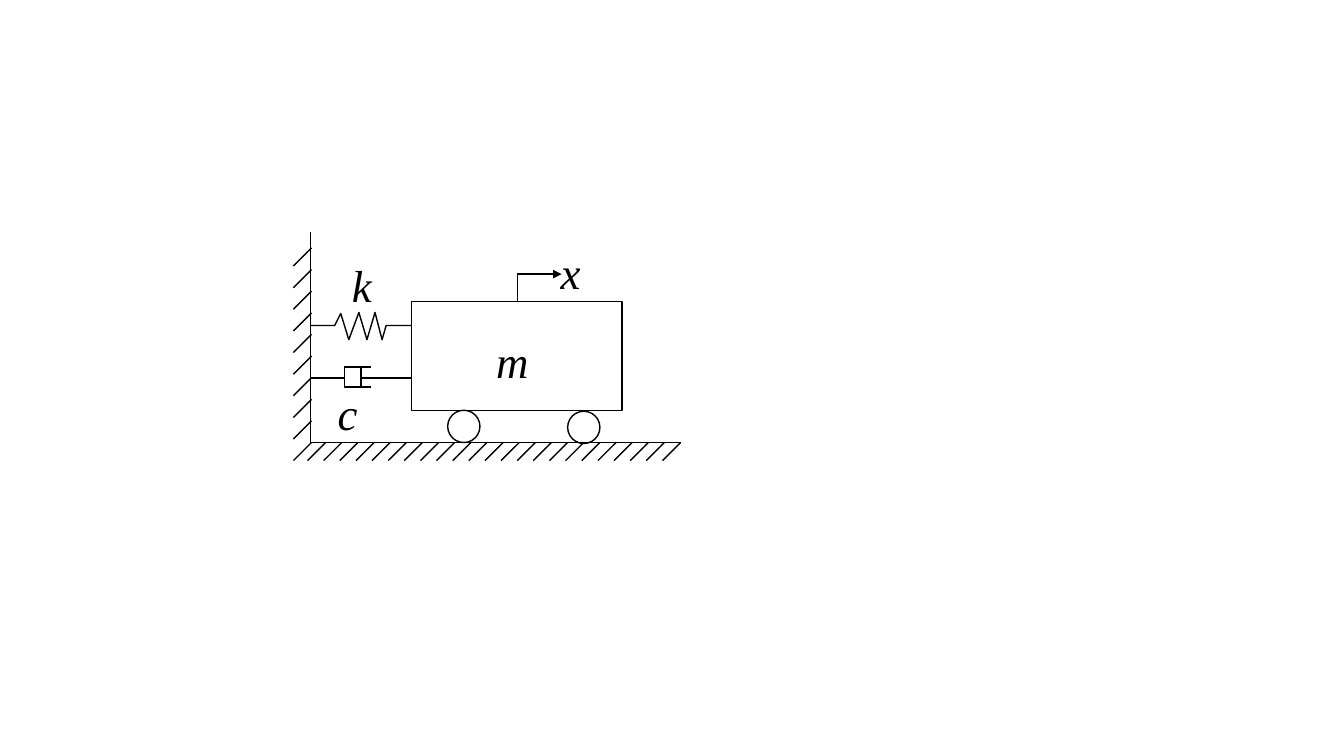
from pptx import Presentation
from pptx import util as u
from pptx.dml.color import RGBColor
from pptx.enum import shapes, text
from pptx.oxml.ns import qn
from lxml import etree

COLORS = {"ink": "000000"}
FONT = {"name": "Times New Roman", "size": u.Pt(32), "italic": True}
FRAME = {"margin_left": 0, "margin_right": 0, "margin_top": u.Inches(0.09),
         "margin_bottom": 0, "word_wrap": True,
         "vertical_anchor": text.MSO_ANCHOR.TOP}

# Content: labels with left and top, in inches
LABELS = [("m", 4.92, 3.22), ("c", 3.35, 3.74), ("k", 3.49, 2.47), ("x", 5.56, 2.34)]

# Geometry, in inches
WALL_X, WALL_TOP, FLOOR_Y, FLOOR_END = 3.08, 2.3, 4.39, 6.75
HATCH, FLOOR_STEP, FLOOR_COUNT = 0.18, 0.16, 23
HATCH_X, WALL_HATCH_TOP, WALL_COUNT = 3.09, 2.46, 10
MASS = (4.08, 2.99, 2.09, 1.08)
WHEELS = [(5.63, 4.08), (4.44, 4.07)]
WHEEL_SIZE = 0.32
SPRING = [(WALL_X, 3.23), (3.32, 3.23), (3.38, 3.11), (3.46, 3.37), (3.56, 3.1),
          (3.64, 3.37), (3.72, 3.1), (3.79, 3.37), (3.83, 3.23), (MASS[0], 3.23)]
DAMPER_CUP = [(3.68, 3.64), (3.42, 3.64), (3.42, 3.84), (3.68, 3.84)]
DAMPER_LINES = [(3.58, 3.64, 3.58, 3.84), (3.58, 3.75, MASS[0], 3.75),
                (WALL_X, 3.75, 3.42, 3.75)]
DOT = (2.12, 3.19, 2.12, 3.19)
DISPLACEMENT_STEM = (5.13, 2.99, 5.13, 2.72)
DISPLACEMENT_ARROW = (5.13, 2.72, 5.57, 2.72)

presentation = Presentation()
presentation.slide_width = u.Inches(13.33)
presentation.slide_height = u.Inches(7.5)
slide = presentation.slides.add_slide(presentation.slide_layouts[6])


def ink_line(shape):
    shape.line.color.rgb = RGBColor.from_string(COLORS["ink"])
    shape.line.width = u.Pt(1)


def add_line(ends, arrow=False):
    connector = slide.shapes.add_connector(
        shapes.MSO_CONNECTOR.STRAIGHT, *map(u.Inches, ends))
    ink_line(connector)
    etree.SubElement(connector._element.spPr, qn("a:effectLst"))
    if arrow:
        etree.SubElement(connector.line._get_or_add_ln(), qn("a:tailEnd"), type="triangle")


def outline(shape):
    shape.shadow.inherit = False
    shape.fill.background()
    ink_line(shape)


def add_path(points):
    points = [(u.Inches(x), u.Inches(y)) for x, y in points]
    builder = slide.shapes.build_freeform(*points[0])
    builder.add_line_segments(points[1:], close=False)
    outline(builder.convert_to_shape())


def add_outline(kind, left, top, width, height):
    outline(slide.shapes.add_shape(kind, *map(u.Inches, (left, top, width, height))))


# Wall and floor with hatching
add_path([(WALL_X, WALL_TOP), (WALL_X, FLOOR_Y), (FLOOR_END, FLOOR_Y)])
wall_step = (FLOOR_Y - WALL_HATCH_TOP) / (WALL_COUNT - 1)
hatch_starts = [(FLOOR_END - i * FLOOR_STEP, FLOOR_Y) for i in range(FLOOR_COUNT)]
hatch_starts += [(HATCH_X, FLOOR_Y - i * wall_step) for i in range(WALL_COUNT)]
for x, y in hatch_starts:
    add_line((x, y, x - HATCH, y + HATCH))

# Cart
add_outline(shapes.MSO_SHAPE.RECTANGLE, *MASS)
for left, top in WHEELS:
    add_outline(shapes.MSO_SHAPE.OVAL, left, top, WHEEL_SIZE, WHEEL_SIZE)

# Spring and damper
add_path(SPRING)
add_path(DAMPER_CUP)
for ends in DAMPER_LINES + [DOT]:
    add_line(ends)

# Labels
for label, left, top in LABELS:
    box = slide.shapes.add_textbox(*map(u.Inches, (left, top, 0.4, 0.64)))
    for name, value in FRAME.items():
        setattr(box.text_frame, name, value)
    run = box.text_frame.paragraphs[0].add_run()
    run.text = label
    for name, value in FONT.items():
        setattr(run.font, name, value)
    run.font.color.rgb = RGBColor.from_string(COLORS["ink"])

# Displacement arrow
add_line(DISPLACEMENT_STEM)
add_line(DISPLACEMENT_ARROW, arrow=True)

presentation.save("out.pptx")
